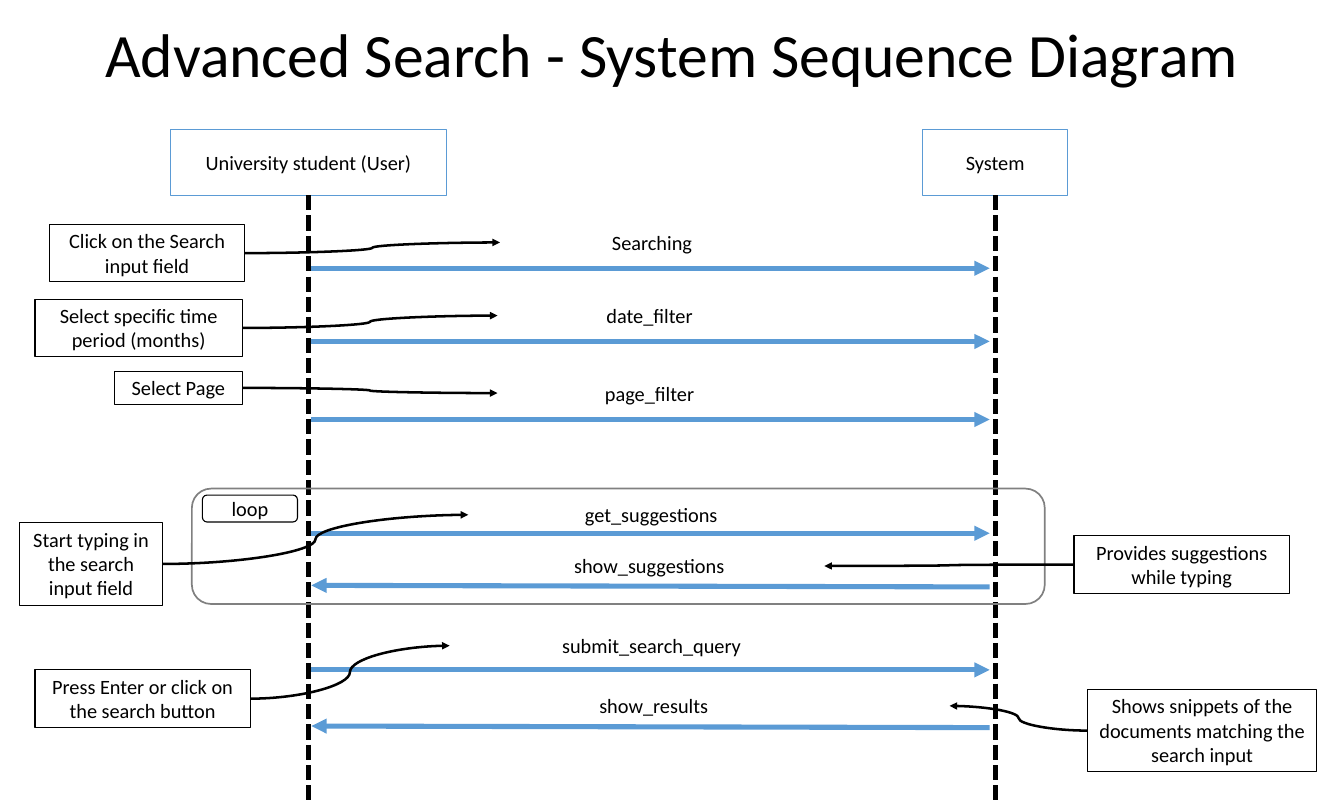
from pptx import Presentation
from pptx.dml.color import RGBColor
from pptx.enum.dml import MSO_LINE
from pptx.enum.shapes import MSO_CONNECTOR as CONN, MSO_SHAPE as SHAPE
from pptx.enum.text import MSO_ANCHOR as ANCHOR, MSO_AUTO_SIZE as AUTO, PP_ALIGN as ALIGN
from pptx.oxml.ns import qn
from pptx.util import Pt
from lxml.etree import SubElement

TITLE = "Advanced Search - System Sequence Diagram"
COLORS = {"ink": "000000", "paper": "FFFFFF", "arrow": "5B9BD5", "frame": "808080"}
FONT = "Calibri"
WIDTH, HEIGHT = 1190.2, 708.5

ACTORS = [("University student (User)", 151.2, 244, 272.9),
          ("System", 817.2, 128.2, 881.3)]
ACTOR_TOP, ACTOR_H = 114.5, 58.3
ARROW_LEFT, ARROW_RIGHT = 275.4, 876.4
REPLY_LEFT, REPLY_DROP = 275.8, 1.4

# fields: label, left, top, width, arrow y, is reply
MESSAGES = [
    ("Searching", 442.8, 200.2, 269.3, 237.6, False),
    ("date_filter", 440.6, 265, 269.3, 302.4, False),
    ("page_filter", 440.6, 333.6, 269.3, 371.5, False),
    ("get_suggestions", 414.7, 441.4, 324, 472.3, False),
    ("show_suggestions", 419.8, 486.7, 310.3, 518.4, True),
    ("submit_search_query", 398.2, 557.3, 357.8, 593.3, False),
    ("show_results", 316.8, 610.6, 524.2, 643, True),
]
NOTES = [
    ("Click on the Search input field", 43.9, 198.7, 172.8, 2, "Searching"),
    ("Select specific time period (months)", 31, 265, 183.6, 2, "date_filter"),
    ("Select Page", 101.5, 329, 113, 1, "page_filter"),
    ("Start typing in the search input field", 17.3, 463, 126.7, 3, "get_suggestions"),
    ("Provides suggestions while typing", 951.1, 474.5, 190.8, 2, "show_suggestions"),
    ("Press Enter or click on the search button", 31, 593.3, 190.6, 2, "submit_search_query"),
    ("Shows snippets of the documents matching the search input",
     963.4, 610.6, 202.3, 3, "show_results"),
]
LOOP_FRAME = (169.9, 432.7, 755.3, 102.2)
LOOP_TAG = (179.3, 438.5, 84.2, 23.8)
LINE_H, INSETS = 21.9, 7.2
SITE_LEFT, SITE_RIGHT = 1, 3


def rgb(name):
    return RGBColor.from_string(COLORS[name])


def write(sp, text, size=18, anchor=ANCHOR.MIDDLE):
    tf = sp.text_frame
    tf.word_wrap = True
    tf.vertical_anchor = anchor
    p = tf.paragraphs[0]
    p.alignment = ALIGN.CENTER
    r = p.add_run()
    r.text = text
    r.font.size, r.font.name = Pt(size), FONT
    r.font.color.rgb = rgb("ink")
    return p


def add_box(kind, box, line, width=1, fill="paper"):
    sp = s.shapes.add_shape(kind, *map(Pt, box))
    sp.shadow.inherit = False
    if fill:
        sp.fill.solid()
        sp.fill.fore_color.rgb = rgb(fill)
    else:
        sp.fill.background()
    sp.line.color.rgb = rgb(line)
    sp.line.width = Pt(width)
    return sp


def add_line(kind, points, color, width, arrow=True):
    c = s.shapes.add_connector(kind, *map(Pt, points))
    c.line.color.rgb = rgb(color)
    c.line.width = Pt(width)
    spPr = c._element.spPr
    if arrow:
        SubElement(spPr.find(qn("a:ln")), qn("a:tailEnd"), type="triangle")
    SubElement(spPr, qn("a:effectLst"))
    return c


prs = Presentation()
prs.slide_width, prs.slide_height = Pt(WIDTH), Pt(HEIGHT)
s = prs.slides.add_slide(prs.slide_layouts[5])

title = s.shapes.title
title.left, title.top, title.width, title.height = map(Pt, (56.9, 10.1, 1076.4, 81.4))
write(title, TITLE, 54.6).line_spacing = 0.9
title.text_frame.auto_size = AUTO.NONE

for name, left, width, life_x in ACTORS:
    write(add_box(SHAPE.RECTANGLE, (left, ACTOR_TOP, width, ACTOR_H), "arrow"), name)
    lifeline = add_line(CONN.STRAIGHT, (life_x, ACTOR_TOP + ACTOR_H, life_x, HEIGHT),
                        "ink", 4.5, arrow=False)
    lifeline.line.dash_style = MSO_LINE.SQUARE_DOT

add_box(SHAPE.ROUNDED_RECTANGLE, LOOP_FRAME, "frame", 1.5, None)
write(add_box(SHAPE.ROUNDED_RECTANGLE, LOOP_TAG, "ink"), "loop")

labels = {}
for text, left, top, width, y, reply in MESSAGES:
    label = s.shapes.add_textbox(*map(Pt, (left, top, width, LINE_H + INSETS)))
    write(label, text, anchor=ANCHOR.TOP)
    label.text_frame.auto_size = AUTO.SHAPE_TO_FIT_TEXT
    labels[text] = label
    points = ((ARROW_RIGHT, y + REPLY_DROP, REPLY_LEFT, y) if reply
              else (ARROW_LEFT, y, ARROW_RIGHT, y))
    add_line(CONN.STRAIGHT, points, "arrow", 4.5)

for text, left, top, width, lines, target in NOTES:
    note = add_box(SHAPE.RECTANGLE, (left, top, width, lines * LINE_H + INSETS), "ink")
    write(note, text, anchor=ANCHOR.TOP)
    note.text_frame.auto_size = AUTO.SHAPE_TO_FIT_TEXT
    label = labels[target]
    sites = (SITE_RIGHT, SITE_LEFT) if note.left < label.left else (SITE_LEFT, SITE_RIGHT)
    pointer = add_line(CONN.CURVE, (0, 0, 0, 0), "ink", 2.25)
    pointer.begin_connect(note, sites[0])
    pointer.end_connect(label, sites[1])

prs.save("out.pptx")
